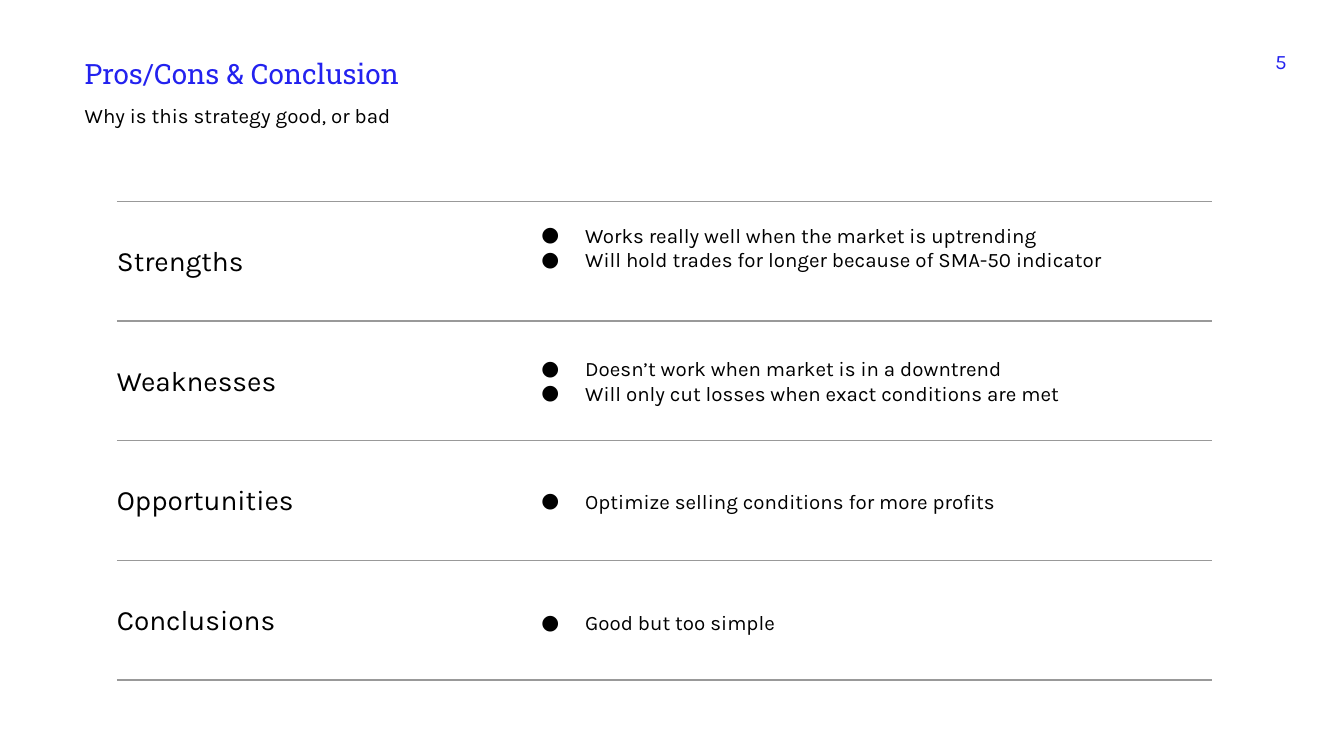
from lxml.etree import SubElement
from pptx import Presentation
from pptx.dml.color import RGBColor
from pptx.enum.shapes import MSO_CONNECTOR
from pptx.enum.text import MSO_ANCHOR, MSO_AUTO_SIZE, PP_ALIGN
from pptx.oxml.ns import qn
from pptx.util import Cm, Pt

BLACK = RGBColor(0x00, 0x00, 0x00)
BLUE = RGBColor(0x23, 0x22, 0xEF)
GRAY = RGBColor(0x99, 0x99, 0x99)
BODY_FONT = "Karla"
TITLE_FONT = "Roboto Slab"

ROWS = [
    ("Strengths", 0.15, 1.96, [
        "Works really well when the market is uptrending",
        "Will hold trades for longer because of SMA-50 indicator"]),
    ("Weaknesses", 0.41, 1.47, [
        "Doesn’t work when market is in a downtrend",
        "Will only cut losses when exact conditions are met"]),
    ("Opportunities", 0.66, 0.91, ["Optimize selling conditions for more profits"]),
    ("Conclusions", 0.69, 0.86, ["Good but too simple"]),
]


def add_bullet(para):
    properties = para._p.get_or_add_pPr()
    properties.set("marL", str(Cm(1.27)))
    properties.set("indent", str(Cm(-0.83)))
    color = SubElement(properties, qn("a:buClr"))
    SubElement(color, qn("a:srgbClr"), val=str(BLACK))
    SubElement(properties, qn("a:buFont"), typeface=BODY_FONT)
    SubElement(properties, qn("a:buChar"), char="●")


def fill_box(box, lines, size, color=BLACK, font=BODY_FONT,
             align=PP_ALIGN.LEFT, bulleted=False):
    frame = box.text_frame
    frame.text = "\n".join(lines)
    frame.word_wrap = True
    frame.auto_size = MSO_AUTO_SIZE.NONE
    frame.vertical_anchor = MSO_ANCHOR.TOP
    frame.margin_left = frame.margin_right = Cm(0.25)
    frame.margin_top = frame.margin_bottom = Cm(0.25)
    for para in frame.paragraphs:
        para.alignment = align
        if bulleted:
            add_bullet(para)
        for span in para.runs:
            span.font.name = font
            span.font.size = Pt(size)
            span.font.color.rgb = color


def add_text(page, left, top, width, height, lines, size, **style):
    box = page.shapes.add_textbox(Cm(left), Cm(top), Cm(width), Cm(height))
    fill_box(box, lines, size, **style)


def add_header(page, left, top, width, height):
    title = page.shapes.title
    title.left, title.top = Cm(left), Cm(top)
    title.width, title.height = Cm(width), Cm(height)
    fill_box(title, ["Pros/Cons & Conclusion"], 15, color=BLUE, font=TITLE_FONT)
    add_text(page, left, top + 0.89, 13.54, 1.04,
             ["Why is this strategy good, or bad"], 11)


def add_rule(page, left, top, width):
    rule = page.shapes.add_connector(
        MSO_CONNECTOR.STRAIGHT, Cm(left), Cm(top), Cm(left + width), Cm(top))
    rule.line.color.rgb = GRAY
    rule.line.width = Pt(0.75)
    SubElement(rule._element.spPr, qn("a:effectLst"))


def add_summary(page, left, top, width, height):
    pitch = height / len(ROWS)
    for index in range(len(ROWS) + 1):
        add_rule(page, left, top + index * pitch, width)
    for index, (label, offset, box_height, points) in enumerate(ROWS):
        row_top = top + index * pitch
        add_text(page, left - 0.25, row_top + 0.55, 5.66, 1.06, [label], 15)
        add_text(page, left + 7.33, row_top + offset, 13.36, box_height,
                 points, 11, bulleted=True)


def main():
    deck = Presentation()
    deck.slide_width, deck.slide_height = Cm(25.4), Cm(14.29)
    page = deck.slides.add_slide(deck.slide_layouts[5])
    add_header(page, 1.35, 0.81, 9.98, 0.94)
    add_summary(page, 2.21, 3.81, 20.7, 9.04)
    add_text(page, 23.6, 0.69, 0.97, 0.48, ["5"], 11, color=BLUE,
             align=PP_ALIGN.RIGHT)
    deck.save("out.pptx")


if __name__ == "__main__":
    main()
